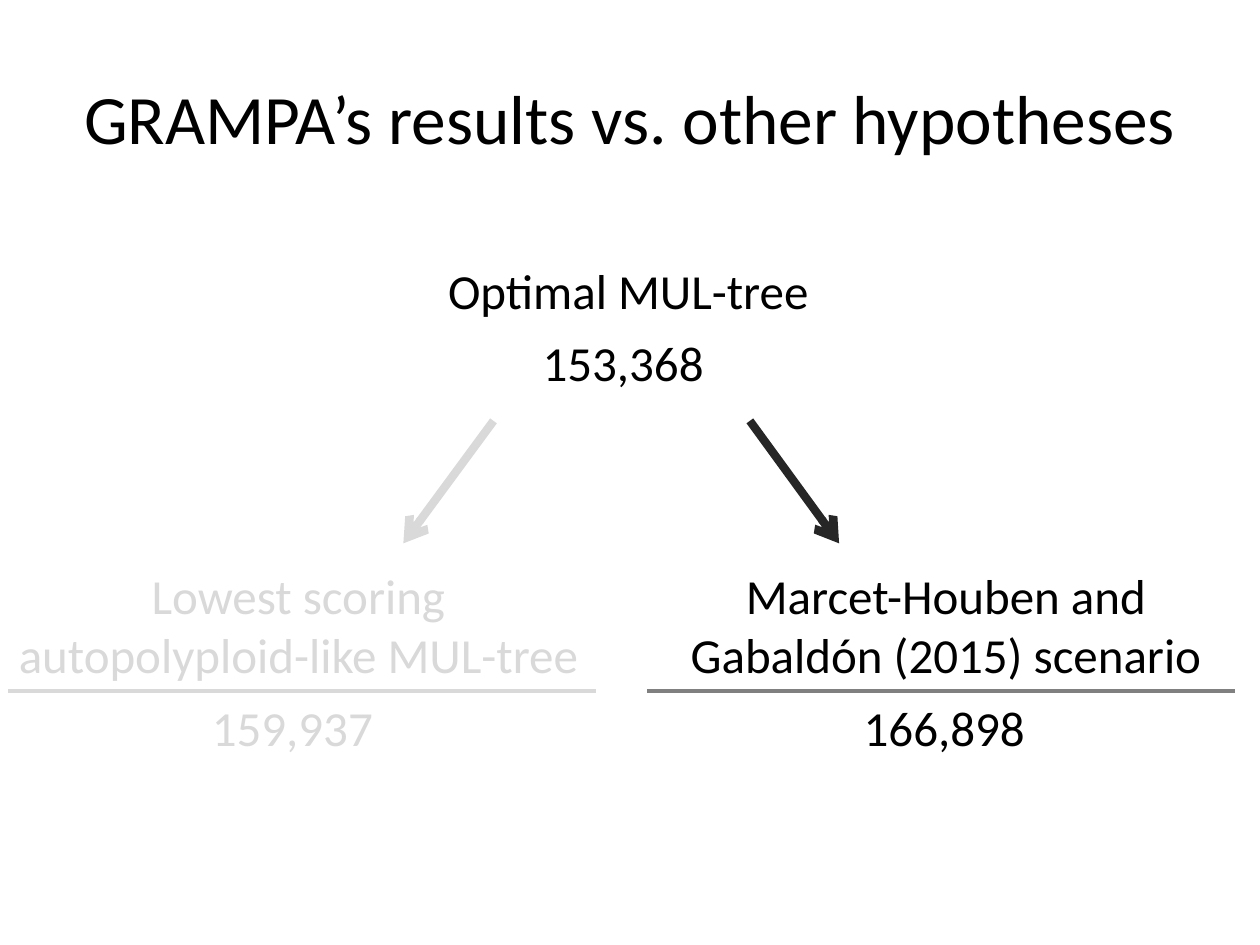
import dataclasses

import lxml.etree
import pptx
import pptx.dml.color
import pptx.enum.shapes
import pptx.enum.text
import pptx.oxml.ns
import pptx.util

Pt = pptx.util.Pt
Align = pptx.enum.text.PP_ALIGN


@dataclasses.dataclass(frozen=True)
class Theme:
    font: str = "Calibri"
    title_size: float = 39.6
    body_size: float = 28
    ink: str = "000000"
    faded: str = "D9D9D9"
    arrow: str = "262626"
    rule: str = "808080"
    arrow_width: float = 4.75
    rule_width: float = 2


class SlideBuilder:
    """Holds the theme and the current slide; lengths are in points."""

    def __init__(self, slide, theme):
        self.slide = slide
        self.theme = theme

    def fill_text(self, frame, text, size, color, align):
        paragraph = frame.paragraphs[0]
        paragraph.alignment = align
        run = paragraph.add_run()
        run.text = text
        run.font.name = self.theme.font
        run.font.size = Pt(size)
        run.font.color.rgb = pptx.dml.color.RGBColor.from_string(color)

    def title(self, text, left, top, width, height):
        heading = self.slide.shapes.title
        heading.left, heading.top = Pt(left), Pt(top)
        heading.width, heading.height = Pt(width), Pt(height)
        frame = heading.text_frame
        frame.vertical_anchor = pptx.enum.text.MSO_ANCHOR.MIDDLE
        self.fill_text(frame, text, self.theme.title_size, self.theme.ink, Align.CENTER)

    def label(self, text, left, top, width, height, color, align=Align.LEFT):
        box = self.slide.shapes.add_textbox(Pt(left), Pt(top), Pt(width), Pt(height))
        frame = box.text_frame
        frame.word_wrap = True
        frame.auto_size = pptx.enum.text.MSO_AUTO_SIZE.SHAPE_TO_FIT_TEXT
        self.fill_text(frame, text, self.theme.body_size, color, align)

    def line(self, start, end, color, width, arrow=False):
        connector = self.slide.shapes.add_connector(
            pptx.enum.shapes.MSO_CONNECTOR.STRAIGHT, *map(Pt, start + end))
        connector.line.color.rgb = pptx.dml.color.RGBColor.from_string(color)
        connector.line.width = Pt(width)
        qn = pptx.oxml.ns.qn
        properties = connector.element.spPr
        if arrow:
            lxml.etree.SubElement(properties.find(qn("a:ln")),
                                  qn("a:tailEnd"), type="arrow")
        lxml.etree.SubElement(properties, qn("a:effectLst"))


def main():
    deck = pptx.Presentation()
    deck.slide_width, deck.slide_height = Pt(720), Pt(540)
    theme = Theme()
    builder = SlideBuilder(deck.slides.add_slide(deck.slide_layouts[5]), theme)

    builder.title("GRAMPA’s results vs. other hypotheses", 36, 21.6, 648, 90)

    # Optimal tree and its score
    score_height = 41
    builder.label("Optimal MUL-tree", 249, 145.5, 222, score_height, theme.ink)
    builder.label("153,368", 303, 186.5, 115, score_height, theme.ink)

    # Competing hypotheses: name, left edge, rule span, score, score left,
    # arrow span, then text, arrow and rule colours
    hypotheses = [
        ("Lowest scoring autopolyploid-like MUL-tree", 0, (4.5, 340.5),
         "159,937", 114, (282, 230.5), theme.faded, theme.faded, theme.faded),
        ("Marcet-Houben and Gabaldón (2015) scenario", 370, (370, 706),
         "166,898", 486.5, (428.5, 479.5), theme.ink, theme.arrow, theme.rule),
    ]
    name_top, rule_y = 319.5, 395
    arrow_top, arrow_bottom = 240.5, 310.5
    for (name, left, rule_span, score, score_left, arrow_span,
         text_color, arrow_color, rule_color) in hypotheses:
        builder.label(name, left, name_top, 341, 75, text_color, Align.CENTER)
        builder.label(score, score_left, rule_y, 116, score_height, text_color)
        builder.line((arrow_span[0], arrow_top), (arrow_span[1], arrow_bottom),
                     arrow_color, theme.arrow_width, arrow=True)
        builder.line((rule_span[0], rule_y), (rule_span[1], rule_y),
                     rule_color, theme.rule_width)

    deck.save("out.pptx")


if __name__ == "__main__":
    main()
